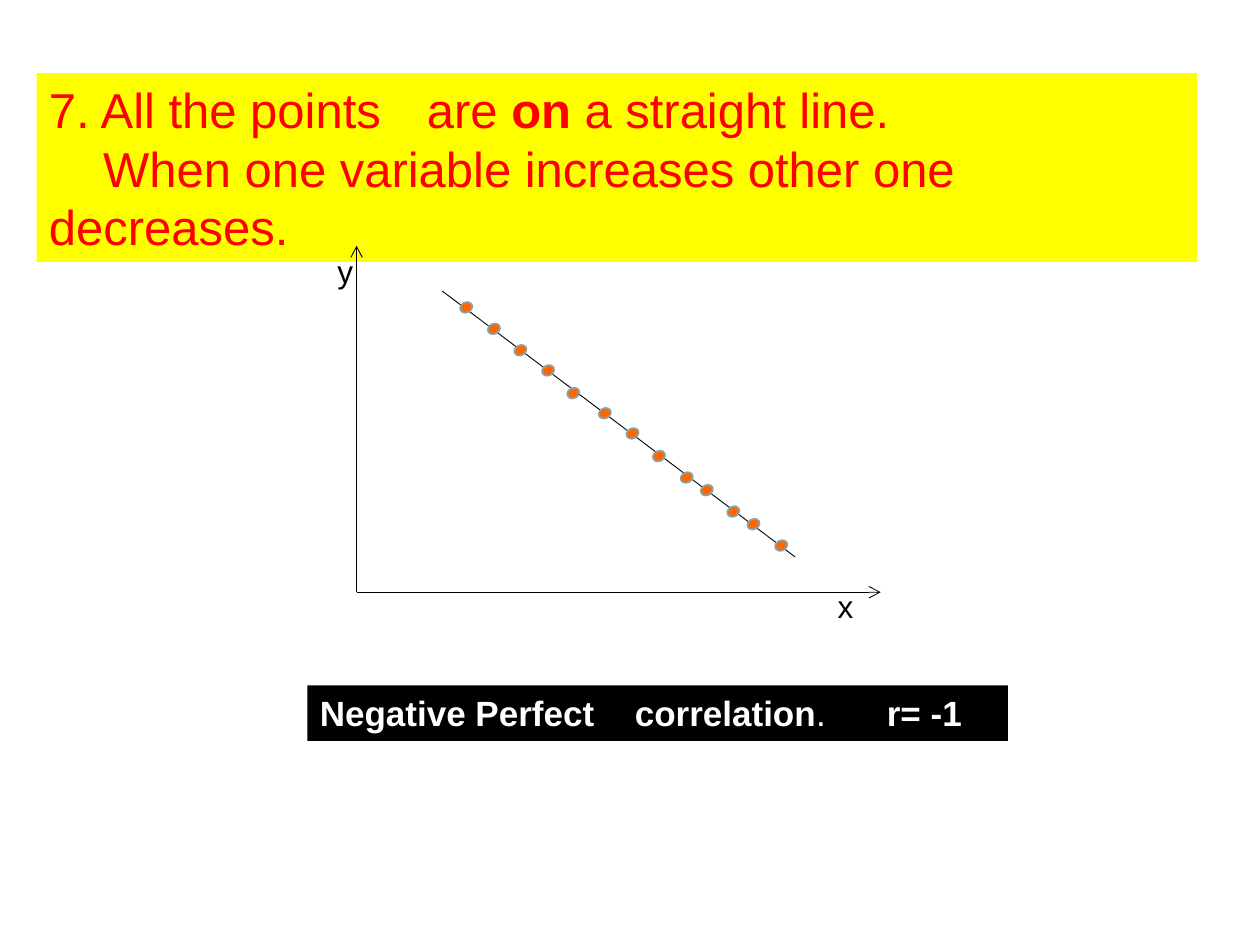
"""Build a slide on perfect negative correlation."""
import dataclasses

import pptx
import pptx.dml.color
import pptx.enum.shapes
import pptx.enum.text
import pptx.oxml
import pptx.oxml.ns
import pptx.util

Inches = pptx.util.Inches
Pt = pptx.util.Pt


@dataclasses.dataclass(frozen=True)
class Theme:
    """Hold the colours, font and type sizes."""
    font: str = "Arial"
    black: str = "000000"
    white: str = "FFFFFF"
    red: str = "FF0000"
    yellow: str = "FFFF00"
    orange: str = "FF6600"
    grey: str = "89A4A7"
    title: int = 28
    note: int = 20
    label: int = 18


THEME = Theme()
DOTS = [
    (3.66, 2.39), (3.88, 2.56), (4.09, 2.73), (4.31, 2.89), (4.51, 3.07),
    (4.76, 3.23), (4.98, 3.39), (5.19, 3.57), (5.41, 3.74), (5.57, 3.84),
    (5.78, 4.01), (5.94, 4.11), (6.16, 4.28),
]


def color(code):
    """Turn a hex code into a colour."""
    return pptx.dml.color.RGBColor.from_string(code)


def add_tag(parent, tag, **attrs):
    """Append one drawing element to a parent."""
    child = pptx.oxml.parse_xml(f"<a:{tag} {pptx.oxml.ns.nsdecls('a')}/>")
    for name, value in attrs.items():
        child.set(name, str(value))
    parent.append(child)
    return child


def set_stops(para, indent, stops):
    """Give a paragraph its first-line indent and tab stops."""
    props = para._p.get_or_add_pPr()
    props.set("marL", "0")
    props.set("indent", str(Inches(indent)))
    if stops:
        tabs = add_tag(props, "tabLst")
        for stop in stops:
            add_tag(tabs, "tab", pos=Inches(stop), algn="l")


def fill_text(shape, lines, size, ink):
    """Write lines of (indent, stops, runs), each run a (text, bold) pair."""
    frame = shape.text_frame
    frame.word_wrap = True
    frame.auto_size = pptx.enum.text.MSO_AUTO_SIZE.SHAPE_TO_FIT_TEXT
    frame.vertical_anchor = pptx.enum.text.MSO_ANCHOR.TOP
    for index, (indent, stops, runs) in enumerate(lines):
        para = frame.add_paragraph() if index else frame.paragraphs[0]
        para.alignment = pptx.enum.text.PP_ALIGN.LEFT
        set_stops(para, indent, stops)
        for text, bold in runs:
            run = para.add_run()
            run.text = text
            run.font.name = THEME.font
            run.font.size = Pt(size)
            run.font.bold = bold
            run.font.color.rgb = color(ink)


def add_shape(slide, kind, box, fill):
    """Add a plain filled shape without line or shadow."""
    shape = slide.shapes.add_shape(kind, *map(Inches, box))
    shape.shadow.inherit = False
    shape.fill.solid()
    shape.fill.fore_color.rgb = color(fill)
    shape.line.fill.background()
    return shape


def add_panel(slide, box, fill, lines, size, ink):
    """Add a coloured panel of text."""
    kind = pptx.enum.shapes.MSO_SHAPE.RECTANGLE
    fill_text(add_shape(slide, kind, box, fill), lines, size, ink)


def add_label(slide, left, top, text):
    """Add the name of an axis."""
    box = slide.shapes.add_textbox(*map(Inches, (left, top, 0.29, 0.4)))
    fill_text(box, [(0, [], [(text, False)])], THEME.label, THEME.black)


def add_line(slide, start, end, arrow=False):
    """Add a thin line, with an arrowhead if asked."""
    kind = pptx.enum.shapes.MSO_CONNECTOR.STRAIGHT
    line = slide.shapes.add_connector(kind, *map(Inches, start + end))
    line.line.color.rgb = color(THEME.black)
    line.line.width = Pt(0.5)
    if arrow:
        add_tag(line.line._get_or_add_ln(), "tailEnd", type="arrow")
    add_tag(line._element.spPr, "effectLst")


def add_dot(slide, left, top):
    """Add one tilted data point."""
    kind = pptx.enum.shapes.MSO_SHAPE.OVAL
    dot = add_shape(slide, kind, (left, top, 0.08, 0.1), THEME.orange)
    dot.rotation = 62.5
    dot.line.color.rgb = color(THEME.grey)
    dot.line.width = Pt(1)


def add_plot(slide):
    """Add the axes, the straight line and its points."""
    root = (2.83, 4.7)
    add_line(slide, root, (2.83, 1.95), arrow=True)
    add_line(slide, root, (6.99, 4.7), arrow=True)
    add_label(slide, 2.58, 1.95, "y")
    add_label(slide, 6.55, 4.61, "x")
    add_line(slide, (3.51, 2.31), (6.31, 4.42))
    for left, top in DOTS:
        add_dot(slide, left, top)


def main():
    """Build and save the slide."""
    deck = pptx.Presentation()
    deck.slide_width, deck.slide_height = Inches(10), Inches(7.5)
    slide = deck.slides.add_slide(deck.slide_layouts[6])
    rule = [
        (0, [2.96], [("7. All the points\tare ", False), ("on", True),
                     (" a straight line.", False)]),
        (0.43, [], [("When one variable increases other one decreases.",
                     False)]),
    ]
    result = [(0, [2.34, 4.17], [("Negative Perfect\tcorrelation", True),
                                 (".", False), ("\tr= -1", True)])]
    add_panel(slide, (0.29, 0.58, 9.21, 1.5), THEME.yellow, rule,
              THEME.title, THEME.red)
    add_panel(slide, (2.44, 5.44, 5.56, 0.44), THEME.black, result,
              THEME.note, THEME.white)
    add_plot(slide)
    deck.save("out.pptx")


if __name__ == "__main__":
    main()
